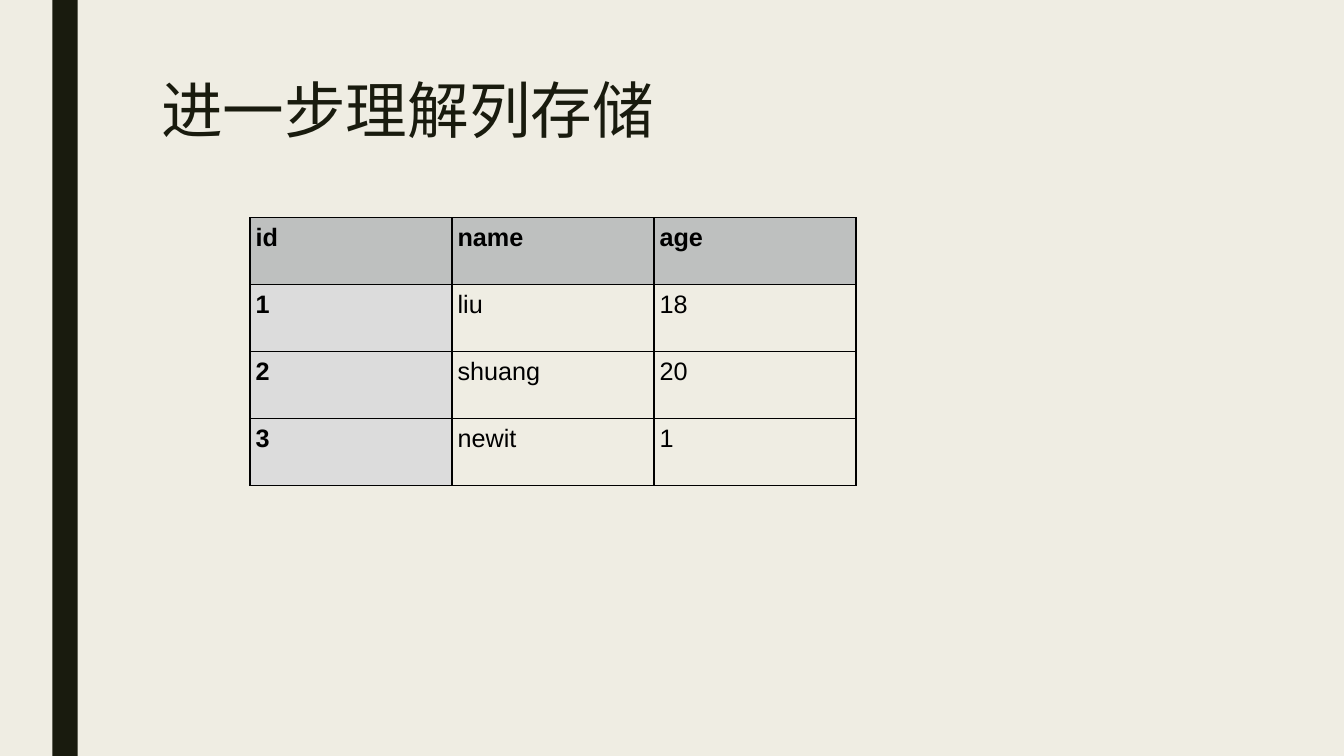
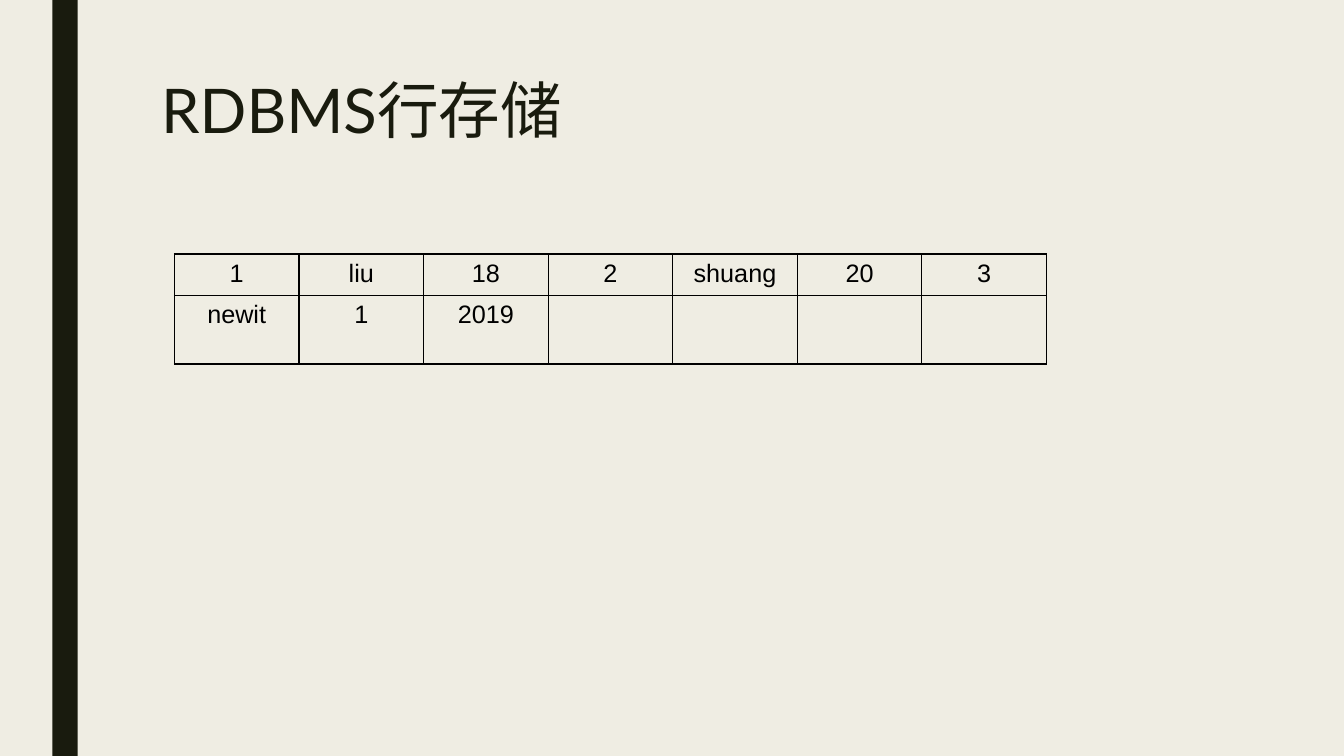
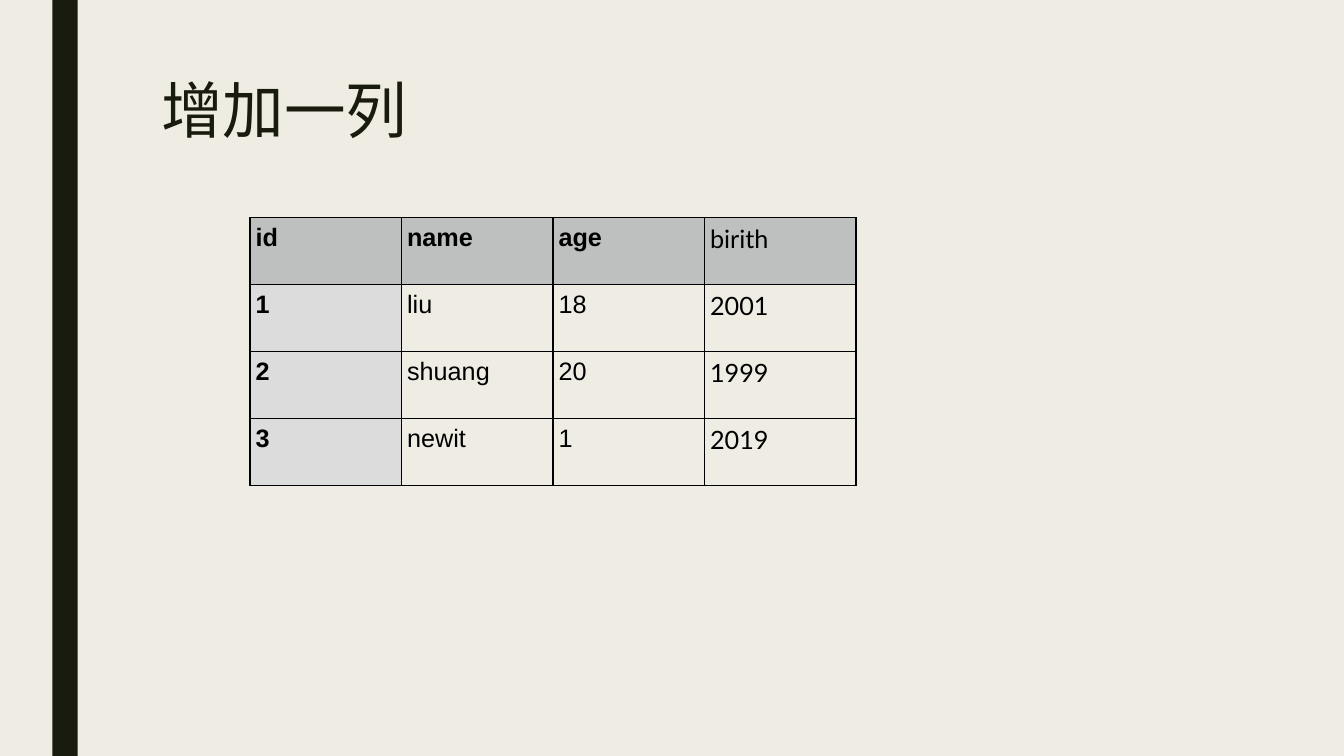
from lxml import etree
from pptx import Presentation
from pptx import util as u
from pptx.dml.color import RGBColor
from pptx.enum import shapes, text
from pptx.oxml.ns import qn

PAPER, INK, BLACK = "EFEDE3", "191B0E", "000000"
HEADER_FILL, KEY_FILL = "BEC0BF", "DCDCDC"
TITLE_FONT, TABLE_FONT = "Lato", "Arial"
BAND_BOX = (0.52, 0, 0.25, 7.5)
TITLE_BOX = (1.5, 0.75, 10.5, 1.62)
RECORD_BOX = (2.48, 2.16, 6.01, 2.66)
STORAGE_BOX = (1.73, 2.52, 8.65, 1.07)

PEOPLE = [
    ["id", "name", "age"],
    ["1", "liu", "18"],
    ["2", "shuang", "20"],
    ["3", "newit", "1"],
]
BIRTHS = ["birith", "2001", "1999", "2019"]
STORED_ROWS = [
    ["1", "liu", "18", "2", "shuang", "20", "3"],
    ["newit", "1", "2019", "", "", "", ""],
]


def color(value):
    """Turn a hex string into a colour."""
    return RGBColor.from_string(value)


def box_lengths(box):
    """Convert a box in inches to lengths."""
    return [u.Inches(value) for value in box]


def add_run(paragraph, words, font, size, ink, bold=False):
    """Append one styled run to a paragraph."""
    run = paragraph.add_run()
    run.text = words
    run.font.name = font
    run.font.size = u.Pt(size)
    run.font.bold = bold
    run.font.color.rgb = color(ink)


def add_base_slide(presentation, title):
    """Add a slide with the side band and the title."""
    slide = presentation.slides.add_slide(presentation.slide_layouts[6])
    slide.background.fill.solid()
    slide.background.fill.fore_color.rgb = color(PAPER)
    band = slide.shapes.add_shape(shapes.MSO_SHAPE.RECTANGLE, *box_lengths(BAND_BOX))
    band.shadow.inherit = False
    band.fill.solid()
    band.fill.fore_color.rgb = color(INK)
    band.line.fill.background()
    frame = slide.shapes.add_textbox(*box_lengths(TITLE_BOX)).text_frame
    frame.word_wrap = True
    frame.vertical_anchor = text.MSO_ANCHOR.TOP
    paragraph = frame.paragraphs[0]
    paragraph.line_spacing = 0.89
    add_run(paragraph, title, TITLE_FONT, 44, INK)
    return slide


def add_borders(cell):
    """Draw a thin black line on all four sides of a cell."""
    properties = cell._tc.get_or_add_tcPr()
    for side in ("a:lnL", "a:lnR", "a:lnT", "a:lnB"):
        line = etree.SubElement(properties, qn(side), w=str(u.Pt(1)))
        fill = etree.SubElement(line, qn("a:solidFill"))
        etree.SubElement(fill, qn("a:srgbClr"), val=BLACK)


def fill_cell(cell, words, font=TABLE_FONT, bold=False, fill=None, align=text.PP_ALIGN.LEFT):
    """Set the borders, margins, fill and text of a cell."""
    add_borders(cell)
    cell.margin_left = cell.margin_right = u.Pt(4)
    cell.margin_top = cell.margin_bottom = u.Pt(4)
    if fill:
        cell.fill.solid()
        cell.fill.fore_color.rgb = color(fill)
    else:
        cell.fill.background()
    paragraph = cell.text_frame.paragraphs[0]
    paragraph.alignment = align
    if words:
        add_run(paragraph, words, font, 18, BLACK, bold)


def add_grid(slide, box, rows, heights):
    """Add an unstyled table with equal columns in a box."""
    table = slide.shapes.add_table(len(rows), len(rows[0]), *box_lengths(box)).table
    table.first_row = table.horz_banding = False
    for column in table.columns:
        column.width = u.Inches(box[2] / len(rows[0]))
    for row, height in zip(table.rows, heights):
        row.height = u.Inches(height)
    return table


def add_record_table(slide, box, rows):
    """Add a table with a shaded header row and key column."""
    table = add_grid(slide, box, rows, [box[3] / len(rows)] * len(rows))
    for i, row in enumerate(rows):
        for j, words in enumerate(row):
            added = j == len(PEOPLE[0])
            fill = HEADER_FILL if i == 0 else KEY_FILL if j == 0 else None
            fill_cell(
                table.cell(i, j),
                words,
                font=TITLE_FONT if added else TABLE_FONT,
                bold=bool(fill) and not added,
                fill=fill,
            )


def add_storage_table(slide, box, rows):
    """Add a plain centred table of values stored one after another."""
    table = add_grid(slide, box, rows, [0.39, box[3] - 0.39])
    for i, row in enumerate(rows):
        for j, words in enumerate(row):
            fill_cell(table.cell(i, j), words, align=text.PP_ALIGN.CENTER)


def main():
    """Build the three slides and save them."""
    presentation = Presentation()
    presentation.slide_width = u.Inches(13.33)
    presentation.slide_height = u.Inches(7.5)
    add_record_table(add_base_slide(presentation, "进一步理解列存储"), RECORD_BOX, PEOPLE)
    add_storage_table(add_base_slide(presentation, "RDBMS行存储"), STORAGE_BOX, STORED_ROWS)
    extended = [row + [birth] for row, birth in zip(PEOPLE, BIRTHS)]
    add_record_table(add_base_slide(presentation, "增加一列"), RECORD_BOX, extended)
    presentation.save("out.pptx")


if __name__ == "__main__":
    main()
